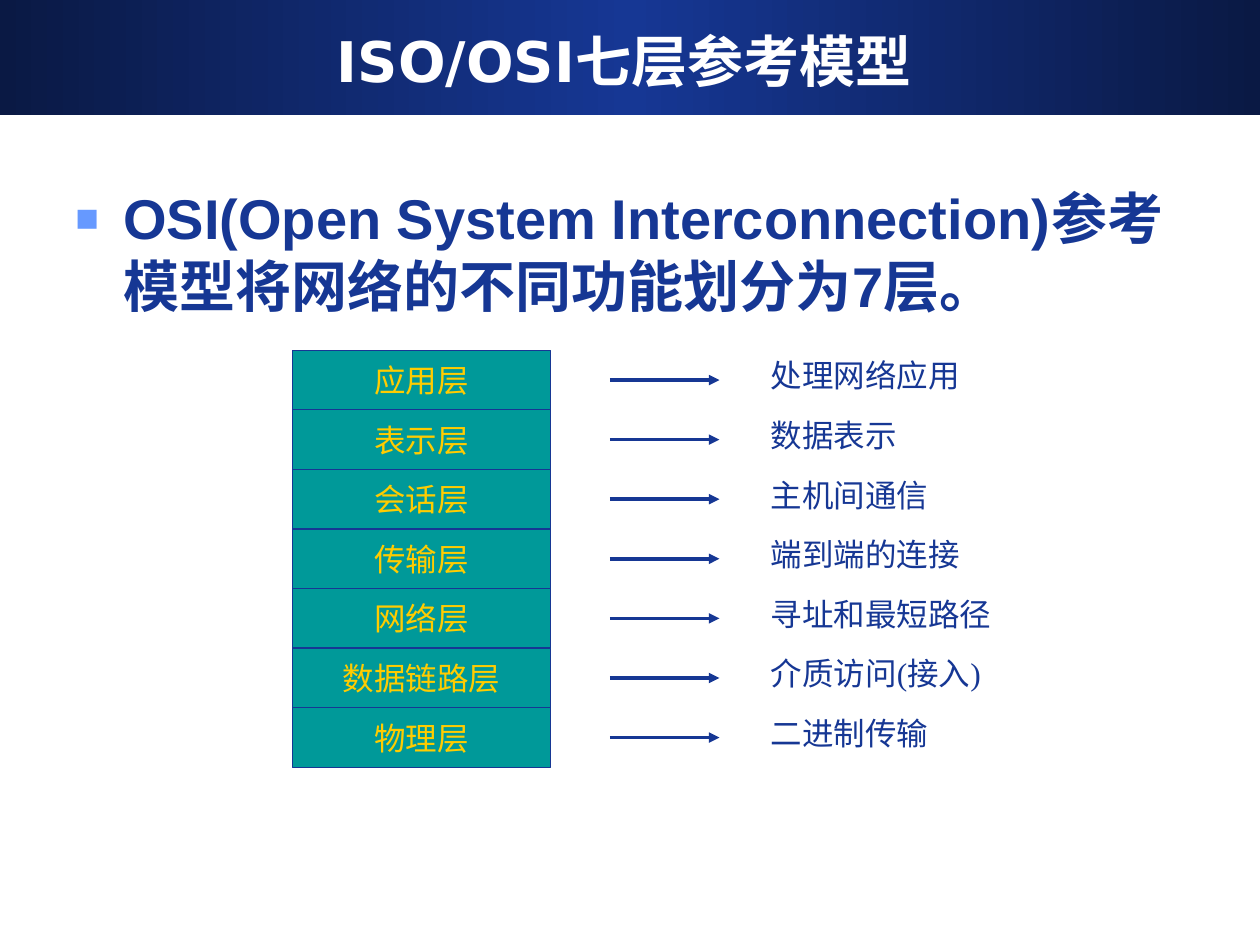
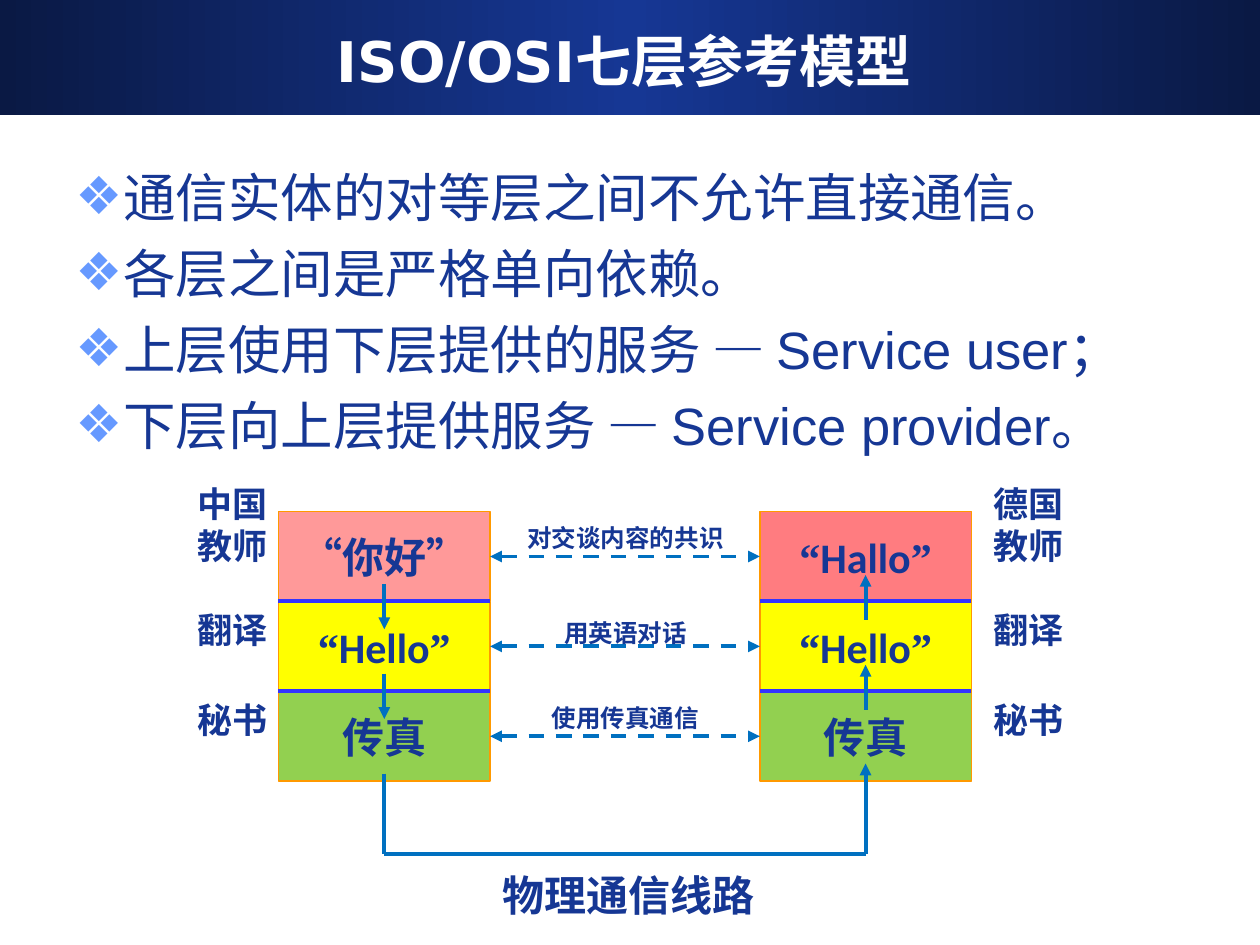
from copy import deepcopy

from lxml import etree
from pptx import Presentation
from pptx.dml.color import RGBColor
from pptx.enum.dml import MSO_LINE
from pptx.enum.lang import MSO_LANGUAGE_ID
from pptx.enum.shapes import MSO_CONNECTOR, MSO_SHAPE
from pptx.enum.text import MSO_ANCHOR, PP_ALIGN
from pptx.oxml.ns import qn
from pptx.util import Inches, Pt

LEFT, CENTER, RIGHT = PP_ALIGN.LEFT, PP_ALIGN.CENTER, PP_ALIGN.RIGHT
MIDDLE, TOP = MSO_ANCHOR.MIDDLE, MSO_ANCHOR.TOP
RECTANGLE, STRAIGHT, DASH = MSO_SHAPE.RECTANGLE, MSO_CONNECTOR.STRAIGHT, MSO_LINE.DASH
CHINESE = MSO_LANGUAGE_ID.SIMPLIFIED_CHINESE

NAVY = RGBColor(0x16, 0x37, 0x94)
DARK_NAVY = RGBColor(0x0A, 0x19, 0x44)
WHITE = RGBColor(0xFF, 0xFF, 0xFF)
BULLET_BLUE = RGBColor(0x66, 0x99, 0xFF)
TEAL = RGBColor(0x00, 0x99, 0x99)
GOLD = RGBColor(0xFF, 0xCC, 0x00)
ORANGE = RGBColor(0xFF, 0x99, 0x00)
PINK = RGBColor(0xFF, 0x99, 0x99)
CORAL = RGBColor(0xFF, 0x7C, 0x80)
YELLOW = RGBColor(0xFF, 0xFF, 0x00)
GREEN = RGBColor(0x92, 0xD0, 0x50)
VIOLET = RGBColor(0x33, 0x33, 0xFF)
ARROW_BLUE = RGBColor(0x00, 0x70, 0xC0)

SANS, SERIF, HEADING, LABEL = "Arial", "Times New Roman", "DejaVu Sans", "Calibri"
TITLE = "ISO/OSI七层参考模型"

OSI_LAYERS = [
    ("应用层", "处理网络应用"),
    ("表示层", "数据表示"),
    ("会话层", "主机间通信"),
    ("传输层", "端到端的连接"),
    ("网络层", "寻址和最短路径"),
    ("数据链路层", "介质访问(接入)"),
    ("物理层", "二进制传输"),
]
RULES = [
    "通信实体的对等层之间不允许直接通信。",
    "各层之间是严格单向依赖。",
    "上层使用下层提供的服务 — Service user；",
    "下层向上层提供服务 — Service provider。",
]
FAX = [("传真", LABEL)]
AGREEMENTS = [("对交谈内容的共识", 0.04), ("用英语对话", 0.08), ("使用传真通信", 0.04)]


def quoted(word):
    """Return the runs of a word between serif quotation marks."""
    return [("“", SERIF), (word, LABEL), ("”", SERIF)]


def add_runs(paragraph, runs, size, color, bold=False):
    """Add (text, font) runs in one size and colour."""
    for text, font_name in runs:
        run = paragraph.add_run()
        run.text = text
        run.font.name = font_name
        run.font.size = Pt(size)
        run.font.bold = bold
        run.font.color.rgb = color
        run.font.language_id = CHINESE


def add_bullet(paragraph, character, percent):
    """Give the paragraph a hanging coloured bullet."""
    properties = paragraph._p.get_or_add_pPr()
    properties.set("marL", str(Inches(0.38)))
    properties.set("indent", str(-Inches(0.38)))
    color = etree.SubElement(properties, qn("a:buClr"))
    etree.SubElement(color, qn("a:srgbClr"), val=str(BULLET_BLUE))
    etree.SubElement(properties, qn("a:buSzPct"), val=str(percent * 1000))
    etree.SubElement(properties, qn("a:buFont"), typeface=SANS)
    etree.SubElement(properties, qn("a:buChar"), char=character)


def add_text(slide, box, runs, size, bold=False, align=LEFT, spacing=None):
    """Add a one-paragraph text box."""
    frame = slide.shapes.add_textbox(*map(Inches, box)).text_frame
    frame.word_wrap = True
    paragraph = frame.paragraphs[0]
    paragraph.alignment = align
    paragraph.line_spacing = spacing
    add_runs(paragraph, runs, size, NAVY, bold)


def add_bullets(slide, box, items, character, percent, size, bold=False, gap=0):
    """Add a bulleted list with equal gaps between its items."""
    frame = slide.shapes.add_textbox(*map(Inches, box)).text_frame
    frame.word_wrap = True
    for index, item in enumerate(items):
        paragraph = frame.add_paragraph() if index else frame.paragraphs[0]
        if index:
            paragraph.space_before = Pt(gap)
        add_bullet(paragraph, character, percent)
        add_runs(paragraph, [(item, SANS)], size, NAVY, bold)


def add_block(slide, box, runs, fill, outline, width, size, color, bold=False):
    """Add a filled rectangle with centred text."""
    block = slide.shapes.add_shape(RECTANGLE, *map(Inches, box))
    block.shadow.inherit = False
    block.fill.solid()
    block.fill.fore_color.rgb = fill
    block.line.color.rgb = outline
    block.line.width = Pt(width)
    frame = block.text_frame
    frame.word_wrap = False
    frame.vertical_anchor = MIDDLE
    frame.paragraphs[0].alignment = CENTER
    add_runs(frame.paragraphs[0], runs, size, color, bold)


def add_line(slide, start, end, color=ARROW_BLUE, width=2.25, arrows=(), dashed=False):
    """Add a straight line with arrowheads at the named ends."""
    connector = slide.shapes.add_connector(STRAIGHT, *map(Inches, (*start, *end)))
    connector.line.color.rgb = color
    connector.line.width = Pt(width)
    if dashed:
        connector.line.dash_style = DASH
    properties = connector.element.spPr
    for arrow in arrows:
        etree.SubElement(properties.find(qn("a:ln")), qn(f"a:{arrow}"), type="triangle")
    etree.SubElement(properties, qn("a:effectLst"))


def add_titled_slide(presentation):
    """Add a slide with the gradient band and the title."""
    slide = presentation.slides.add_slide(presentation.slide_layouts[5])
    title = slide.shapes.title
    band = slide.shapes.add_shape(RECTANGLE, 0, 0, Inches(10), Inches(0.91))
    band.shadow.inherit = False
    band.line.fill.background()
    band.fill.gradient()
    band.fill.gradient_angle = 0
    stop_list = band.element.spPr.find(".//" + qn("a:gsLst"))
    stop_list.append(deepcopy(stop_list[0]))
    colors = (DARK_NAVY, NAVY, DARK_NAVY)
    for index, (stop, color) in enumerate(zip(band.fill.gradient_stops, colors)):
        stop.color.rgb = color
        stop.position = index / 2
    title.element.addprevious(band.element)

    title.left, title.top, title.width, title.height = map(Inches, (0.33, 0.17, 9.25, 0.62))
    title.text_frame.vertical_anchor = MIDDLE
    title.text_frame.paragraphs[0].alignment = CENTER
    add_runs(title.text_frame.paragraphs[0], [(TITLE, HEADING)], 32, WHITE, bold=True)
    return slide


def draw_osi_layers(slide, left, top, height):
    """Draw the seven layers, each with an arrow to its task."""
    row = height / len(OSI_LAYERS)
    for index, (layer, task) in enumerate(OSI_LAYERS):
        y = top + index * row
        middle = y + row / 2
        add_block(slide, (left, y, 2.05, row), [(layer, SERIF)], TEAL, NAVY, 0.75, 18, GOLD)
        add_line(slide, (left + 2.52, middle), (left + 3.39, middle), NAVY, 2, ["tailEnd"])
        add_text(slide, (left + 3.7, y, 2.2, 0.4), [(task, SERIF)], 18)


def draw_speaker(slide, box, blocks, label_left, teacher, align):
    """Draw one speaker's three levels with their role labels."""
    left, top, width, height = box
    row = height / len(blocks)
    for index, (runs, fill) in enumerate(blocks):
        add_block(slide, (left, top + index * row, width, row), runs, fill, ORANGE, 1, 24, NAVY, True)
    for index in range(1, len(blocks)):
        y = top + index * row
        add_line(slide, (left, y), (left + width, y), VIOLET)
    add_text(slide, (label_left, top - 0.28, 0.92, 0.77), [(teacher, LABEL)], 20, True, align)
    for index, role in enumerate(("翻译", "秘书"), start=1):
        label_box = (label_left, top + index * row - 0.06, 0.92, 0.5)
        add_text(slide, label_box, [(role, LABEL)], 20, True, align, 1.2)


def draw_conversation(slide, left, top):
    """Draw both speakers, their agreements and the physical line."""
    width, height, distance = 1.68, 2.14, 3.82
    row = height / 3
    right = left + distance
    sender, receiver = left + width / 2, right + width / 2
    bottom = top + 2.72
    draw_speaker(slide, (left, top, width, height),
                 [(quoted("你好"), PINK), (quoted("Hello"), YELLOW), (FAX, GREEN)],
                 left - 0.91, "中国教师", RIGHT)
    draw_speaker(slide, (right, top, width, height),
                 [(quoted("Hallo"), CORAL), (quoted("Hello"), YELLOW), (FAX, GREEN)],
                 right + 1.76, "德国教师", LEFT)
    for index, (agreement, offset) in enumerate(AGREEMENTS):
        y = top + index * row
        middle = y + row / 2
        add_line(slide, (left + width, middle), (right, middle),
                 arrows=["headEnd", "tailEnd"], dashed=True)
        add_text(slide, (left + 1.84, y + offset, 1.83, 0.34),
                 [(agreement, LABEL)], 14, True, CENTER)
    for index in (1, 2):
        y = top + index * row
        add_line(slide, (sender, y - 0.14), (sender, y + 0.22), arrows=["tailEnd"])
        add_line(slide, (receiver, y - 0.21), (receiver, y + 0.15), arrows=["headEnd"])
    add_line(slide, (receiver, top + 2), (receiver, bottom), arrows=["headEnd"])
    add_line(slide, (sender, top + 2.08), (sender, bottom))
    add_line(slide, (sender, bottom), (receiver, bottom))
    add_text(slide, (left + width, bottom + 0.07, 2.37, 0.5), [("物理通信线路", LABEL)], 24, True)


def build_layers_slide(presentation):
    """Build the slide that lists the seven layers."""
    slide = add_titled_slide(presentation)
    add_bullets(slide, (0.5, 1.41, 9, 1.29),
                ["OSI(Open System Interconnection)参考模型将网络的不同功能划分为7层。"],
                "■", 70, 32, bold=True)
    draw_osi_layers(slide, 2.32, 2.78, 3.31)


def build_conversation_slide(presentation):
    """Build the slide that compares layers to a conversation."""
    slide = add_titled_slide(presentation)
    add_bullets(slide, (0.5, 1.26, 9, 2.5), RULES, "❖", 100, 30, gap=7.5)
    draw_conversation(slide, 2.21, 4.06)


def main():
    """Build and save the presentation."""
    presentation = Presentation()
    presentation.slide_width = Inches(10)
    presentation.slide_height = Inches(7.5)
    build_layers_slide(presentation)
    build_conversation_slide(presentation)
    presentation.save("out.pptx")


if __name__ == "__main__":
    main()
